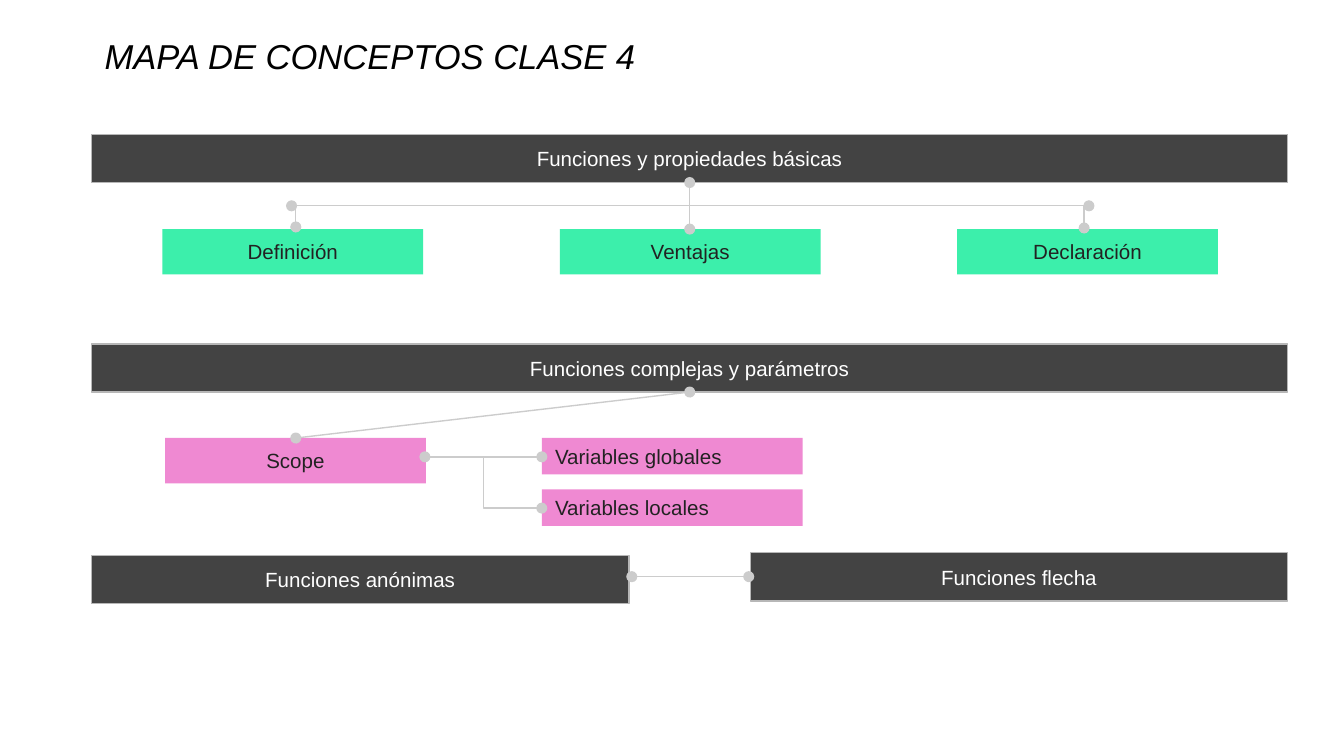
from lxml import etree
from pptx import Presentation
from pptx.dml.color import RGBColor
from pptx.enum.shapes import MSO_CONNECTOR, MSO_SHAPE
from pptx.enum.text import MSO_ANCHOR, PP_ALIGN
from pptx.oxml.ns import qn
from pptx.util import Cm, Pt

RECT = MSO_SHAPE.RECTANGLE
STRAIGHT, ELBOW = MSO_CONNECTOR.STRAIGHT, MSO_CONNECTOR.ELBOW
LEFT, CENTER = PP_ALIGN.LEFT, PP_ALIGN.CENTER
TOP, MIDDLE = MSO_ANCHOR.TOP, MSO_ANCHOR.MIDDLE

THEME = {
    "font": "Arial", "title_size": 18.5, "box_size": 11, "line_width": 0.75,
    "black": "000000", "connector": "CCCCCC", "inset": 0.25,
}
STYLES = {
    "topic": {"fill": "434343", "line": "B7B7B7", "text": "FFFFFF", "align": CENTER},
    "basic": {"fill": "3CEFAB", "line": None, "text": "222222", "align": CENTER},
    "scope": {"fill": "EF89D2", "line": None, "text": "222222", "align": CENTER},
    "variable": {"fill": "EF89D2", "line": None, "text": "222222", "align": LEFT},
}

# Content
TITLE = "MAPA DE CONCEPTOS CLASE 4"
BASICS = ["Definición", "Ventajas", "Declaración"]
VARIABLES = ["Variables globales", "Variables locales"]

# Layout in centimetres
MARGIN, BAR_W, HALF_W, BAR_H = 1.73, 22.61, 10.16, 0.91
LEAF_W, LEAF_H, VAR_H = 4.93, 0.86, 0.69
BASIC_LEFT, BASIC_TOP, BASIC_STEP = 3.07, 4.33, 7.51
SCOPE_LEFT, SCOPE_TOP = 3.12, 8.28
VAR_LEFT, VAR_STEP = 10.24, 0.97
BAR1_TOP, BAR2_TOP = 2.54, 6.5
HUB_X, BRANCH_X, RAIL_Y = MARGIN + BAR_W / 2, 5.59, 3.89
VAR_Y = SCOPE_TOP + VAR_H / 2 + 0.01

BOXES = [  # style, text, left, top, width, height
    ("topic", "Funciones y propiedades básicas", MARGIN, BAR1_TOP, BAR_W, BAR_H),
    ("topic", "Funciones complejas y parámetros", MARGIN, BAR2_TOP, BAR_W, BAR_H),
    ("topic", "Funciones anónimas", MARGIN, 10.5, HALF_W, BAR_H),
    ("topic", "Funciones flecha", MARGIN + BAR_W - HALF_W, 10.45, HALF_W, BAR_H),
    ("scope", "Scope", SCOPE_LEFT, SCOPE_TOP, LEAF_W, LEAF_H),
]
BOXES += [("basic", text, BASIC_LEFT + i * BASIC_STEP, BASIC_TOP, LEAF_W, LEAF_H)
          for i, text in enumerate(BASICS)]
BOXES += [("variable", text, VAR_LEFT, SCOPE_TOP + i * VAR_STEP, LEAF_W, VAR_H)
          for i, text in enumerate(VARIABLES)]

BOTH, HEAD, TAIL = ("headEnd", "tailEnd"), ("headEnd",), ("tailEnd",)
LINKS = [  # kind, start, end, dotted ends
    (STRAIGHT, (20.58, RAIL_Y), (5.51, RAIL_Y), BOTH),
    (STRAIGHT, (HUB_X, BAR1_TOP + BAR_H), (HUB_X, BASIC_TOP), BOTH),
    (STRAIGHT, (20.49, 4.31), (20.49, RAIL_Y), HEAD),
    (STRAIGHT, (BRANCH_X, 4.29), (BRANCH_X, RAIL_Y), HEAD),
    (STRAIGHT, (HUB_X, BAR2_TOP + BAR_H), (BRANCH_X, SCOPE_TOP), BOTH),
    (STRAIGHT, (8.03, VAR_Y), (VAR_LEFT, VAR_Y), BOTH),
    (ELBOW, (8.03, VAR_Y), (VAR_LEFT, VAR_Y + VAR_STEP), TAIL),
    (STRAIGHT, (11.94, 10.9), (14.15, 10.9), BOTH),
]


def rgb(name):
    return RGBColor.from_string(name)


def write(shape, text, size, color, align=LEFT, anchor=MIDDLE, italic=False, spacing=1.0):
    tf = shape.text_frame
    frame = {"word_wrap": True, "vertical_anchor": anchor}
    frame.update({f"margin_{side}": Cm(THEME["inset"])
                  for side in ("left", "top", "right", "bottom")})
    for name, value in frame.items():
        setattr(tf, name, value)
    p = tf.paragraphs[0]
    p.alignment, p.line_spacing = align, spacing
    r = p.add_run()
    r.text = text
    for name, value in {"name": THEME["font"], "size": Pt(size), "italic": italic}.items():
        setattr(r.font, name, value)
    r.font.color.rgb = rgb(color)


def add_box(s, style, text, *place):
    look = STYLES[style]
    sp = s.shapes.add_shape(RECT, *map(Cm, place))
    sp.shadow.inherit = False
    sp.fill.solid()
    sp.fill.fore_color.rgb = rgb(look["fill"])
    if look["line"]:
        sp.line.color.rgb = rgb(look["line"])
        sp.line.width = Pt(THEME["line_width"])
    else:
        sp.line.fill.background()
    write(sp, text, THEME["box_size"], look["text"], look["align"])


def add_link(s, kind, start, end, dots):
    link = s.shapes.add_connector(kind, *map(Cm, start + end))
    link.line.color.rgb = rgb(THEME["connector"])
    link.line.width = Pt(THEME["line_width"])
    ln = link.line._get_or_add_ln()
    for tag in dots:
        etree.SubElement(ln, qn(f"a:{tag}"), type="oval", w="med", len="med")
    etree.SubElement(link._element.spPr, qn("a:effectLst"))


def main():
    prs = Presentation()
    prs.slide_width, prs.slide_height = Cm(25.4), Cm(14.29)
    s = prs.slides.add_slide(prs.slide_layouts[6])
    title = s.shapes.add_textbox(Cm(MARGIN), Cm(0.56), Cm(19.74), Cm(1.17))
    write(title, TITLE, THEME["title_size"], THEME["black"],
          anchor=TOP, italic=True, spacing=0.8)
    for box in BOXES:
        add_box(s, *box)
    for link in LINKS:
        add_link(s, *link)
    prs.save("out.pptx")


if __name__ == "__main__":
    main()
